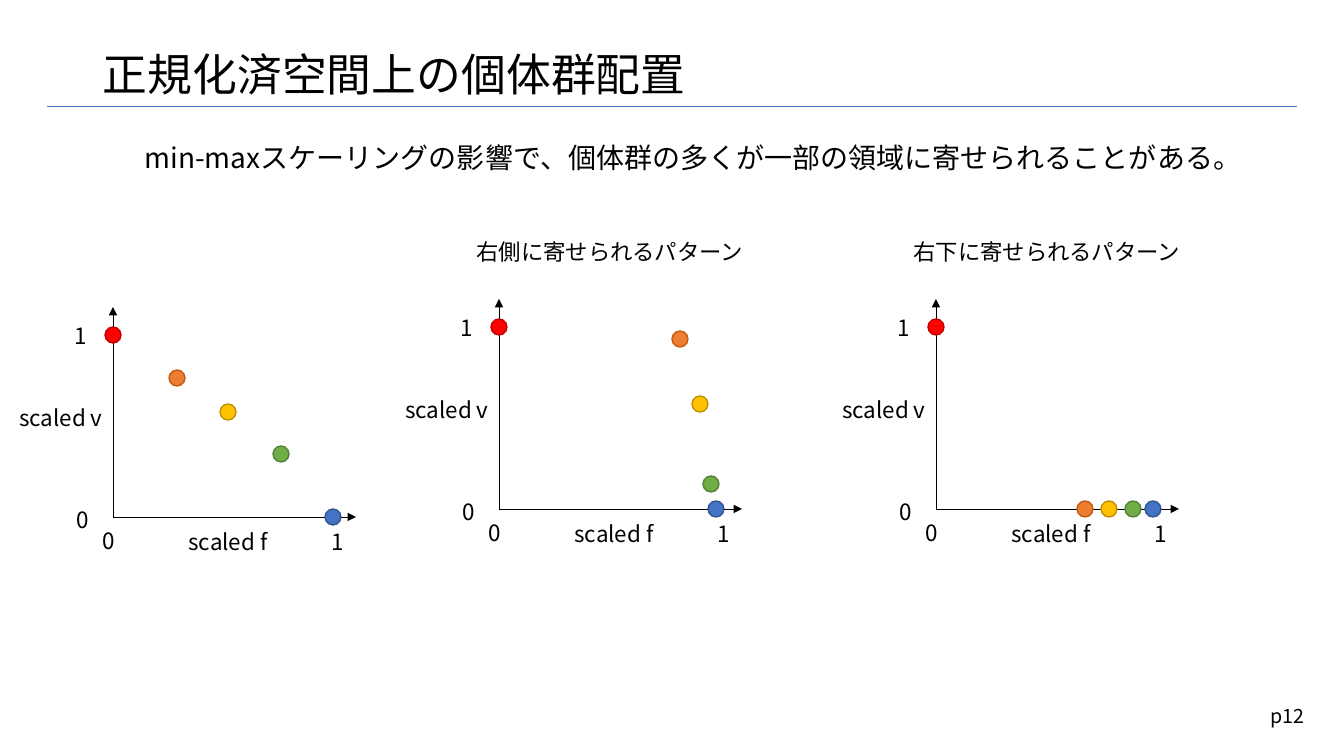
"""Slide showing where individuals lie in the normalised space."""
from lxml import etree
from pptx import Presentation
from pptx.dml.color import RGBColor
from pptx.enum.shapes import MSO_CONNECTOR, MSO_SHAPE
from pptx.enum.text import MSO_ANCHOR, PP_ALIGN
from pptx.oxml.ns import qn
from pptx.util import Pt

PX = 914400 / 100.8
FONT = "Noto Sans CJK JP"
BLACK = RGBColor(0, 0, 0)
RULE_BLUE = RGBColor(0x44, 0x72, 0xC4)

TITLE = "正規化済空間上の個体群配置"
MESSAGE = "min-maxスケーリングの影響で、個体群の多くが一部の領域に寄せられることがある。"
PAGE = "p12"

DOT_COLORS = [
    (RULE_BLUE, RGBColor(0x32, 0x54, 0x91)),
    (RGBColor(0x70, 0xAD, 0x47), RGBColor(0x54, 0x82, 0x35)),
    (RGBColor(0xFF, 0xC0, 0x00), RGBColor(0xBF, 0x90, 0x00)),
    (RGBColor(0xED, 0x7D, 0x31), RGBColor(0xC5, 0x5A, 0x11)),
    (RGBColor(0xFF, 0x00, 0x00), RGBColor(0xC0, 0x00, 0x00)),
]
PLOTS = [
    ((113, 517), "", [(220, 0), (168, 63), (115, 105), (64, 139), (0, 182)]),
    ((499, 509), "右側に寄せられるパターン",
     [(217, 0), (212, 25), (201, 105), (181, 170), (0, 182)]),
    ((936, 509), "右下に寄せられるパターン",
     [(217, 0), (197, 0), (173, 0), (149, 0), (0, 182)]),
]
AXIS_LABELS = [
    ("scaled f", 54, 6, 122),
    ("scaled v", -113, -118, 122),
    ("0", -24, 5, 40),
    ("0", -50, -16, 40),
    ("1", -52, -200, 40),
    ("1", 205, 6, 40),
]
AXIS_W, AXIS_H, DOT, LABEL_H = 243, 210, 16, 37
CAPTION_DX, CAPTION_DY, CAPTION_W = -50, -276, 322


def px(*values):
    return [round(v * PX) for v in values]


def add_text(s, text, box, size, align=PP_ALIGN.CENTER):
    tf = s.shapes.add_textbox(*px(*box)).text_frame
    tf.word_wrap = True
    p = tf.paragraphs[0]
    p.alignment = align
    r = p.add_run()
    r.text = text
    r.font.size = Pt(size)
    r.font.name = FONT
    r.font.color.rgb = BLACK
    etree.SubElement(r.font._element, qn("a:ea"), typeface=FONT)
    return tf


def add_line(s, start, end, color, arrow=False):
    line = s.shapes.add_connector(MSO_CONNECTOR.STRAIGHT, *px(*start, *end))
    line.line.color.rgb = color
    line.line.width = Pt(0.5)
    if arrow:
        etree.SubElement(line.line._get_or_add_ln(), qn("a:tailEnd"), type="triangle")
    etree.SubElement(line._element.spPr, qn("a:effectLst"))


def add_dot(s, cx, cy, fill, outline):
    sp = s.shapes.add_shape(MSO_SHAPE.OVAL, *px(cx - DOT / 2, cy - DOT / 2, DOT, DOT))
    sp.shadow.inherit = False
    sp.fill.solid()
    sp.fill.fore_color.rgb = fill
    sp.line.color.rgb = outline
    sp.line.width = Pt(1)


def add_plot(s, origin, caption, dots):
    x, y = origin
    add_line(s, origin, (x, y - AXIS_H), BLACK, arrow=True)
    add_line(s, origin, (x + AXIS_W, y), BLACK, arrow=True)
    if caption:
        add_text(s, caption, (x + CAPTION_DX, y + CAPTION_DY, CAPTION_W, LABEL_H), 16)
    for text, dx, dy, width in AXIS_LABELS:
        add_text(s, text, (x + dx, y + dy, width, LABEL_H), 16)
    for (f, v), (fill, outline) in zip(dots, DOT_COLORS):
        add_dot(s, x + f, y - v, fill, outline)


def main():
    prs = Presentation()
    prs.slide_width, prs.slide_height = px(1344, 756)
    s = prs.slides.add_slide(prs.slide_layouts[6])
    title = add_text(s, TITLE, (93, 40, 1159, 75), 32, PP_ALIGN.LEFT)
    title.vertical_anchor = MSO_ANCHOR.MIDDLE
    title.paragraphs[0].line_spacing = 0.9
    add_line(s, (47, 106), (1297, 106), RULE_BLUE)
    add_text(s, MESSAGE, (84, 136, 1218, 44), 20)
    for plot in PLOTS:
        add_plot(s, *plot)
    add_text(s, PAGE, (1252, 699, 71, 34), 14)
    prs.save("out.pptx")


if __name__ == "__main__":
    main()
